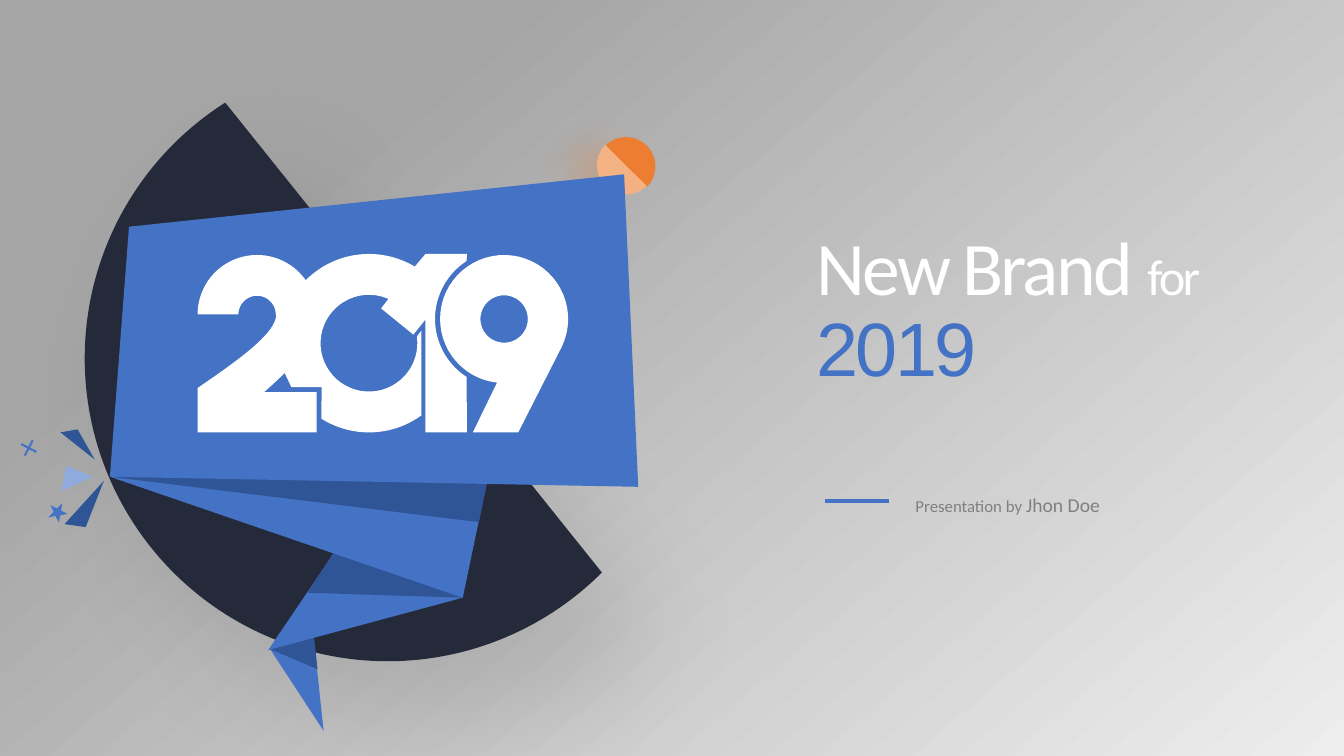
from dataclasses import dataclass
from math import cos, radians, sin

from lxml import etree
from pptx import Presentation
from pptx import util as u
from pptx.dml.color import RGBColor
from pptx.enum import shapes, text
from pptx.oxml.ns import qn


@dataclass(frozen=True)
class Theme:
    white: str = "FFFFFF"
    grey: str = "808080"
    navy: str = "252A3B"
    blue: str = "4472C4"
    dark_blue: str = "2F5597"
    light_blue: str = "8FAADC"
    orange: str = "ED7D31"
    light_orange: str = "F4B183"
    shade: str = "000000"
    backdrop: tuple = ((0.23, "A5A5A5"), (1, "EDEDED"))
    font: str = "Calibri"
    year_font: str = "Arial"
    title_size: int = 54
    small_title_size: int = 36
    byline_size: int = 12
    name_size: int = 14


THEME = Theme()


# Outline helpers: points in inches, angles in degrees clockwise from the right
def arc(center, radius, start, end, steps=48):
    angles = [radians(start + (end - start) * i / steps) for i in range(steps + 1)]
    return [(center[0] + radius * cos(a), center[1] + radius * sin(a)) for a in angles]


def curve(a, b, c, d, steps=20):
    """Points along a cubic curve from a to d."""
    points = []
    for i in range(steps + 1):
        t = i / steps
        weights = ((1 - t) ** 3, 3 * t * (1 - t) ** 2, 3 * t * t * (1 - t), t ** 3)
        points.append(tuple(sum(w * p[axis] for w, p in zip(weights, (a, b, c, d)))
                            for axis in (0, 1)))
    return points


# Element helpers
def paint(shape, color):
    shape.shadow.inherit = False
    shape.fill.solid()
    shape.fill.fore_color.rgb = RGBColor.from_string(color)
    shape.line.fill.background()


def add_outline(slide, color, *contours):
    paths = [[(u.Inches(x), u.Inches(y)) for x, y in contour] for contour in contours]
    builder = slide.shapes.build_freeform(*paths[0][0], scale=1.0)
    builder.add_line_segments(paths[0][1:], close=True)
    for path in paths[1:]:
        builder.move_to(*path[0])
        builder.add_line_segments(path[1:], close=True)
    paint(builder.convert_to_shape(), color)


def add_preset(slide, kind, left, top, size, color, rotation=0, adjustments=()):
    shape = slide.shapes.add_shape(kind, u.Inches(left), u.Inches(top),
                                   u.Inches(size), u.Inches(size))
    shape.rotation = rotation
    for i, value in enumerate(adjustments):
        shape.adjustments[i] = value
    paint(shape, color)
    return shape


def cast_shadow(shape, color, opacity, blur, distance, direction):
    effects = shape._element.spPr.find(qn("a:effectLst"))
    shadow = etree.SubElement(effects, qn("a:outerShdw"), blurRad=str(u.Pt(blur)),
                              dist=str(u.Pt(distance)), dir=str(direction * 60000),
                              algn="ctr", rotWithShape="0")
    tone = etree.SubElement(shadow, qn("a:srgbClr"), val=color)
    etree.SubElement(tone, qn("a:alpha"), val=str(opacity * 1000))


def place_text(holder, left, top, width, height, line_spacing):
    holder.left, holder.top = u.Inches(left), u.Inches(top)
    holder.width, holder.height = u.Inches(width), u.Inches(height)
    frame = holder.text_frame
    frame.word_wrap = True
    frame.auto_size = text.MSO_AUTO_SIZE.SHAPE_TO_FIT_TEXT
    frame.vertical_anchor = text.MSO_ANCHOR.TOP
    paragraph = frame.paragraphs[0]
    paragraph.alignment = text.PP_ALIGN.LEFT
    paragraph.line_spacing = line_spacing
    paragraph.space_before = u.Pt(0)
    return paragraph


def add_run(paragraph, words, size, color, font=THEME.font):
    run = paragraph.add_run()
    run.text = words
    run.font.size = u.Pt(size)
    run.font.name = font
    run.font.color.rgb = RGBColor.from_string(color)
    return run


# Parts of the slide
def fill_background(slide):
    fill = slide.background.fill
    fill.gradient()
    fill.gradient_angle = 310
    for stop, (position, color) in zip(fill.gradient_stops, THEME.backdrop):
        stop.position = position
        stop.color.rgb = RGBColor.from_string(color)


def draw_discs(slide):
    chord = shapes.MSO_SHAPE.CHORD
    disc = add_preset(slide, chord, 0.84, 0.55, 6.01, THEME.navy, 0, (27, 142.55))
    cast_shadow(disc, THEME.shade, 10, 80, 60, 50)
    for top, color, rotation in ((1.36, THEME.orange, 135), (1.35, THEME.light_orange, 315)):
        half = add_preset(slide, chord, 5.92, top, 0.58, color, rotation, (54.21, 161.58))
        cast_shadow(half, THEME.orange, 21, 20, 21, 172)


def draw_ribbon(slide):
    fold, knee, tip = (1.09, 4.73), (4.59, 5.93), (2.68, 6.44)
    for color, points in (
        (THEME.blue, (tip, (3.21, 7.25), (3.07, 5.93))),
        (THEME.dark_blue, (tip, (3.15, 6.64), (3.07, 5.93))),
        (THEME.blue, (knee, (2.66, 6.45), (3.52, 5.18))),
        (THEME.dark_blue, (knee, (3.05, 5.88), (3.46, 5.25))),
        (THEME.blue, (fold, knee, (4.93, 4.3))),
        (THEME.dark_blue, (fold, (4.75, 5.18), (4.88, 4.55))),
        (THEME.blue, (fold, (1.28, 2.25), (6.19, 1.73), (6.33, 4.83))),
    ):
        add_outline(slide, color, points)


def draw_year(slide):
    base = 4.29
    nine, zero, two = (5, 3.165), (3.66, 3.405), (2.55, 3.12)
    add_outline(slide, THEME.white,
                arc(nine, 0.635, 25.8, -263.7) + [(4.69, base), (5.14, base)],
                arc(nine, 0.235, 0, 360))
    # The one is cut by a circle around the nine
    add_outline(slide, THEME.white,
                [(3.85, 2.97), (3.78, 3.06), (4.1, 3.32), (4.22, 3.17), (4.22, base),
                 (4.63, base)] + arc(nine, 0.685, 122.8, 237.2)
                + [(4.63, 2.52), (4.22, 2.52), (4.11, 2.65)])
    add_outline(slide, THEME.white,
                [(3.07, 2.9), (3.13, 3.11), (2.81, 3.67), (2.89, 3.84), (3.19, 3.84)]
                + arc(zero, 0.885, 122.2, 54) + [(4.18, 3.28)]
                + arc(zero, 0.48, -8, 297) + arc(zero, 0.885, -57.8, -138.4)
                + [(3.04, 2.88)])
    add_outline(slide, THEME.white,
                arc(two, 0.59, 0, -180) + arc(two, 0.185, 180, 360)
                + curve((2.74, 3.12), (2.74, 3.3), (2.4, 3.55), (1.96, 3.85))
                + [(1.96, base), (3.14, base), (3.14, 3.89)]
                + curve((2.62, 3.89), (2.95, 3.6), (3.14, 3.38), (3.14, 3.12)))


def draw_confetti(slide):
    for color, points in (
        (THEME.light_blue, ((0.61, 4.87), (0.92, 4.73), (0.66, 4.62))),
        (THEME.dark_blue, ((1.03, 4.77), (0.64, 5.2), (0.85, 5.23))),
        (THEME.dark_blue, ((0.94, 4.56), (0.6, 4.29), (0.77, 4.26))),
    ):
        add_outline(slide, color, points)
    add_preset(slide, shapes.MSO_SHAPE.CROSS, 0.2, 4.36, 0.17, THEME.blue, 27.4, (0.44,))
    add_preset(slide, shapes.MSO_SHAPE.STAR_5_POINT, 0.48, 4.98, 0.19, THEME.blue, 27.1)


def write_title(slide):
    title = place_text(slide.shapes.title, 8, 2.23, 4.52, 2.55, 0.9)
    for words, size, color, font in (
        ("New Brand ", THEME.title_size, THEME.white, THEME.font),
        ("for", THEME.small_title_size, THEME.white, THEME.font),
        (" ", THEME.title_size, THEME.white, THEME.font),
        ("2019", THEME.title_size, THEME.blue, THEME.year_font),
    ):
        run = add_run(title, words, size, color, font)
        run.font._element.set("spc", "-200")


def write_byline(slide):
    byline = place_text(slide.placeholders[1], 8.98, 4.79, 2.86, 0.36, 1.2)
    add_run(byline, "Presentation by ", THEME.byline_size, THEME.grey)
    add_run(byline, "Jhon Doe", THEME.name_size, THEME.grey)
    rule = slide.shapes.add_connector(shapes.MSO_CONNECTOR.STRAIGHT, u.Inches(8.18),
                                      u.Inches(4.97), u.Inches(8.82), u.Inches(4.97))
    rule.line.color.rgb = RGBColor.from_string(THEME.blue)
    rule.line.width = u.Pt(2.5)
    etree.SubElement(rule._element.spPr, qn("a:effectLst"))


def main():
    deck = Presentation()
    deck.slide_width, deck.slide_height = u.Inches(13.33), u.Inches(7.5)
    slide = deck.slides.add_slide(deck.slide_layouts[0])
    fill_background(slide)
    draw_discs(slide)
    write_title(slide)
    write_byline(slide)
    draw_ribbon(slide)
    draw_year(slide)
    draw_confetti(slide)
    deck.save("out.pptx")


main()
